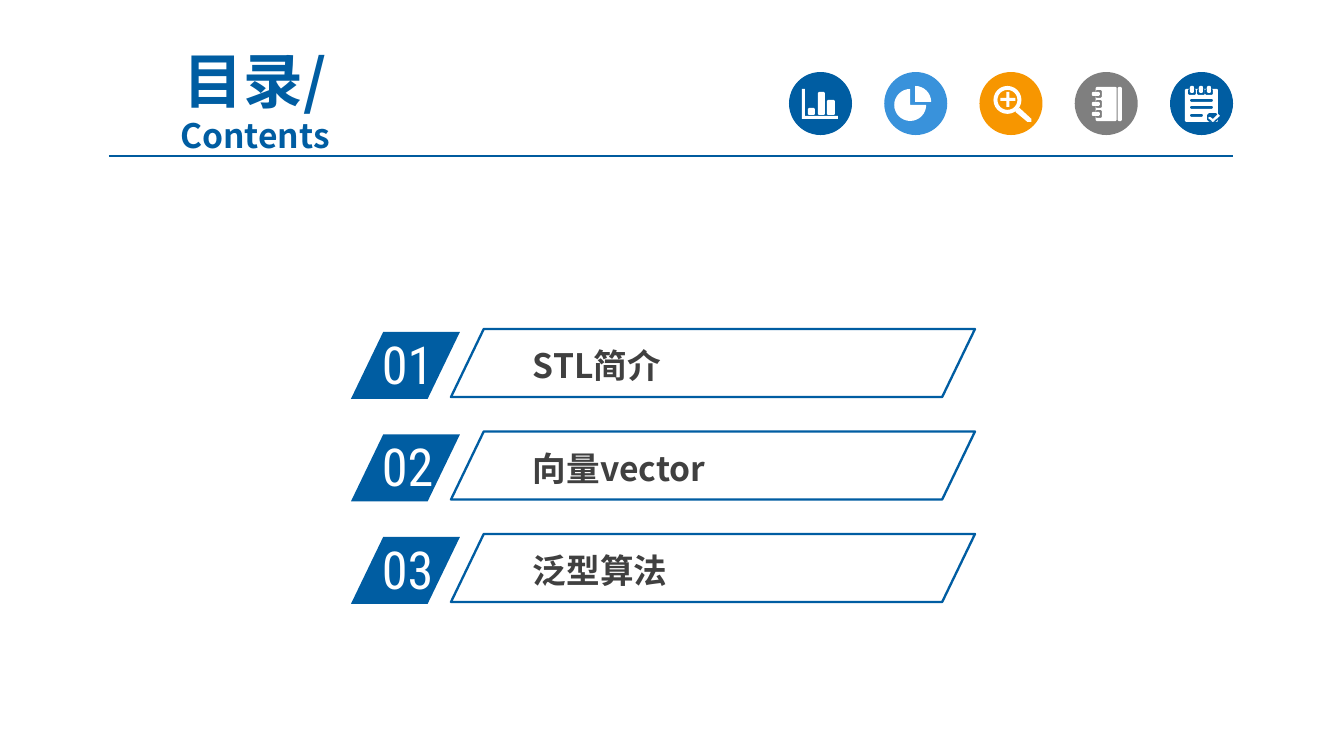
"""Build a contents slide with a titled header, five round icons and three numbered topics."""
import math

import pptx
import pptx.dml.color
import pptx.enum.shapes
import pptx.enum.text
import pptx.oxml.ns
import pptx.util
from lxml import etree

SHAPE = pptx.enum.shapes.MSO_SHAPE
EMU_PER_PX = 914400 / 134.4

BLUE, SKY, ORANGE, GRAY = "005DA2", "3992DB", "F79600", "7F7F7F"
WHITE, INK, RULE = "FFFFFF", "404040", "005B9E"
HEADING_FONT, NUMBER_FONT = "Noto Sans CJK SC", "Roboto Condensed"

TITLE = [("目录/", 32), ("Contents", 18)]
TOPICS = ["STL简介", "向量vector", "泛型算法"]
FIRST_TOP, ROW_PITCH, SLANT = 332, 102.5, 0.482
ICON_LEFT, ICON_TOP, ICON_PITCH, ICON_SIZE = 789, 72, 95.25, 63


def bar(left, top, width, height, corner=1):
    right, bottom = left + width, top + height
    return [
        (left + corner, top), (right - corner, top), (right, top + corner),
        (right, bottom - corner), (right - corner, bottom), (left + corner, bottom),
        (left, bottom - corner), (left, top + corner),
    ]


def arc(x, y, radius, start=0, sweep=360, steps=24):
    angles = [math.radians(start + sweep * step / steps) for step in range(steps + 1)]
    return [(x + radius * math.cos(angle), y + radius * math.sin(angle)) for angle in angles]


CHART = [
    [(13, 17), (16, 17), (16, 44), (49, 44), (49, 47), (13, 47)],
    bar(19, 36, 7, 7), bar(29, 20, 7, 23), bar(38, 28, 8, 15),
]
PIE = [
    [(26, 33)] + arc(26, 33, 16, 0, 270),
    [(31, 30)] + arc(31, 30, 16, 270, 90, 8),
]
MAGNIFIER = [
    arc(28, 28, 14), arc(28, 28, 10),
    [(27, 20), (30, 20), (30, 26), (36, 26), (36, 29), (30, 29),
     (30, 35), (27, 35), (27, 29), (21, 29), (21, 26), (27, 26)],
    [(36, 40), (40, 36), (52, 47), (52, 50), (48, 50)],
]
NOTEBOOK = [bar(21, 15, 21, 34), bar(43, 15, 4, 34)]
for ring_top in (20, 30, 40):
    NOTEBOOK += [bar(21, ring_top - 2, 6, 8), bar(17, ring_top, 8, 4)]
CHECKLIST = [bar(15, 17, 33, 33)]
for ring_left in (20, 29, 37):
    CHECKLIST += [bar(ring_left - 2, 17, 8, 6), bar(ring_left, 14, 4, 7)]
for line_top, line_width in ((27, 23), (34, 23), (42, 13)):
    CHECKLIST.append(bar(20, line_top, line_width, 3))
CHECKLIST += [
    bar(37, 41, 11, 9, 2),
    [(38, 46), (40, 45), (43, 47), (48, 42), (50, 44), (43, 50)],
]
ICONS = [(BLUE, CHART), (SKY, PIE), (ORANGE, MAGNIFIER), (GRAY, NOTEBOOK), (BLUE, CHECKLIST)]


def px(length):
    return pptx.util.Emu(round(length * EMU_PER_PX))


def color(value):
    return pptx.dml.color.RGBColor.from_string(value)


def paint(shape, fill=None, line=None):
    shape.shadow.inherit = False
    if fill:
        shape.fill.solid()
        shape.fill.fore_color.rgb = color(fill)
    else:
        shape.fill.background()
    if line:
        shape.line.color.rgb = color(line)
        shape.line.width = pptx.util.Pt(1.25)
    else:
        shape.line.fill.background()


def add_part(shapes, kind, box, fill=None, line=None):
    shape = shapes.add_shape(kind, *map(px, box))
    if kind == SHAPE.PARALLELOGRAM:
        shape.adjustments[0] = SLANT
    paint(shape, fill, line)


def add_run(paragraph, text, size, font, ink, bold=False):
    run = paragraph.add_run()
    run.text = text
    run.font.name, run.font.size, run.font.bold = font, pptx.util.Pt(size), bold
    run.font.color.rgb = color(ink)
    east_asian = etree.SubElement(run.font._element, pptx.oxml.ns.qn("a:ea"))
    east_asian.set("typeface", font)


def add_label(shapes, text, box, insets=(13, 7), **style):
    frame = shapes.add_textbox(*map(px, box)).text_frame
    frame.word_wrap = True
    frame.margin_left = frame.margin_right = px(insets[0])
    frame.margin_top = frame.margin_bottom = px(insets[1])
    add_run(frame.paragraphs[0], text, **style)


def add_title(slide):
    title = slide.shapes.title
    title.left, title.top, title.width, title.height = map(px, (89, 63, 332, 73))
    frame = title.text_frame
    frame.auto_size = pptx.enum.text.MSO_AUTO_SIZE.NONE
    frame.vertical_anchor = pptx.enum.text.MSO_ANCHOR.MIDDLE
    paragraph = frame.paragraphs[0]
    paragraph.alignment = pptx.enum.text.PP_ALIGN.CENTER
    for index, (text, size) in enumerate(TITLE):
        if index:
            paragraph.add_line_break()
        add_run(paragraph, text, size, HEADING_FONT, BLUE, bold=True)


def add_rule(slide):
    rule = slide.shapes.add_connector(
        pptx.enum.shapes.MSO_CONNECTOR.STRAIGHT, px(109), px(156), px(1233), px(156))
    rule.line.color.rgb = color(RULE)
    rule.line.width = pptx.util.Pt(0.75)
    etree.SubElement(rule._element.spPr, pptx.oxml.ns.qn("a:effectLst"))


def add_icon(slide, index, background, contours):
    left = ICON_LEFT + index * ICON_PITCH
    shapes = slide.shapes.add_group_shape().shapes
    add_part(shapes, SHAPE.OVAL, (left, ICON_TOP, ICON_SIZE, ICON_SIZE), background)
    builder = None
    for contour in contours:
        points = [(px(left + x), px(ICON_TOP + y)) for x, y in contour]
        if builder is None:
            builder = shapes.build_freeform(*points[0])
        else:
            builder.move_to(*points[0])
        builder.add_line_segments(points[1:], close=True)
    paint(builder.convert_to_shape(), WHITE)


def add_topic(slide, index, text):
    top = FIRST_TOP + index * ROW_PITCH
    tag = slide.shapes.add_group_shape().shapes
    add_part(tag, SHAPE.PARALLELOGRAM, (351, top, 109, 67), BLUE)
    add_label(tag, f"{index + 1:02}", (369, top - 7, 105, 77),
              size=28, font=NUMBER_FONT, ink=WHITE)
    entry = slide.shapes.add_group_shape().shapes
    add_label(entry, text, (524, top + 8, 384, 51), insets=(9, 5),
              size=18, font=HEADING_FONT, ink=INK, bold=True)
    add_part(entry, SHAPE.PARALLELOGRAM, (451, top - 3, 524, 68), line=BLUE)


def main():
    presentation = pptx.Presentation()
    presentation.slide_width, presentation.slide_height = px(1344), px(756)
    slide = presentation.slides.add_slide(presentation.slide_layouts[5])
    add_title(slide)
    add_rule(slide)
    for index, (background, contours) in enumerate(ICONS):
        add_icon(slide, index, background, contours)
    for index, text in enumerate(TOPICS):
        add_topic(slide, index, text)
    presentation.save("out.pptx")


if __name__ == "__main__":
    main()
